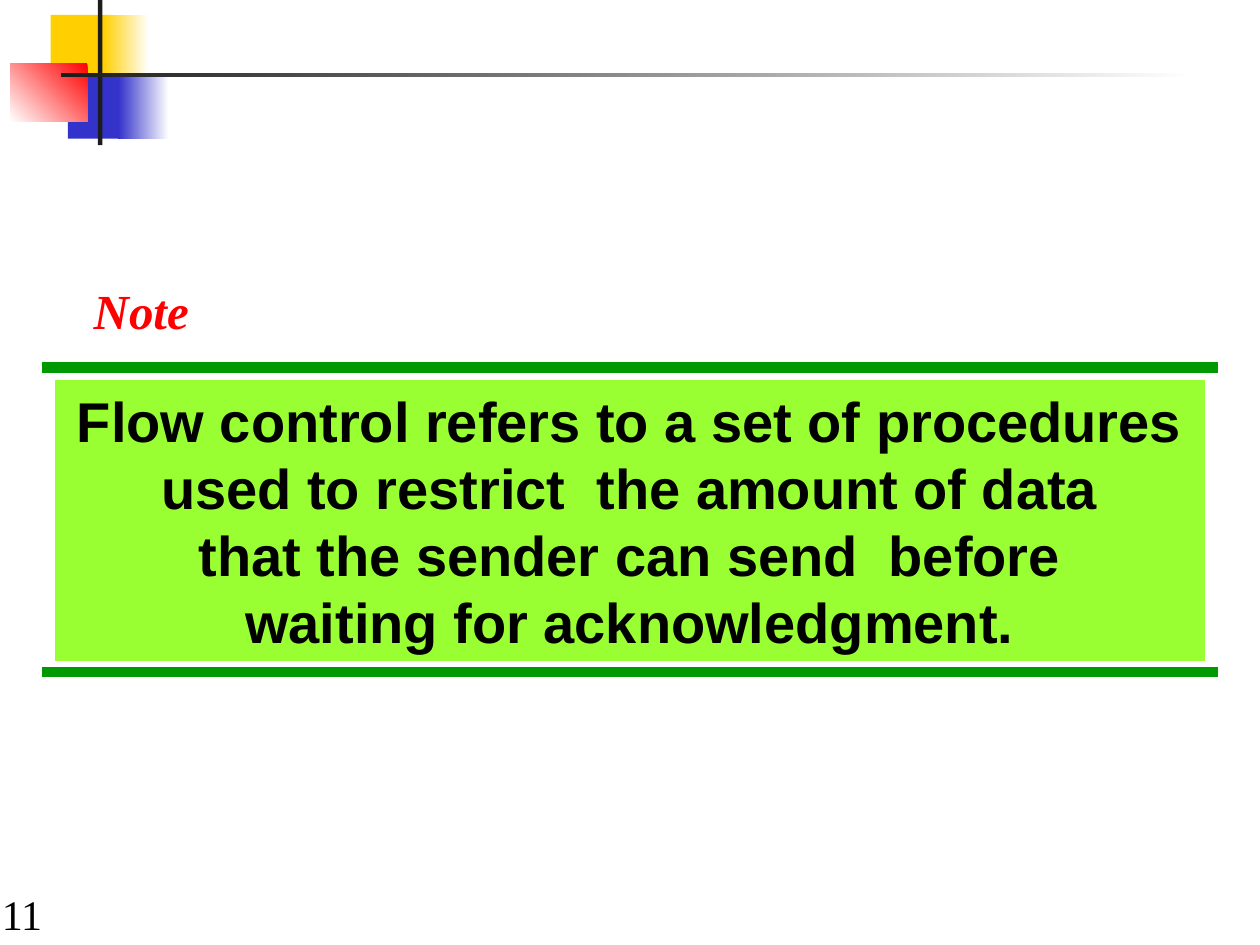
import pptx
import pptx.dml.color
import pptx.enum.shapes
import pptx.enum.text
import pptx.oxml
import pptx.util
from pptx.util import Pt

GREEN = "009900"
DARK = "1C1C1C"
YELLOW = "FFCF01"
BLUE = "3333CC"
RED = "FF0000"
WHITE = "FFFFFF"


def rgb(value):
    return pptx.dml.color.RGBColor.from_string(value)


def add_rect(slide, x, y, w, h, color):
    sp = slide.shapes.add_shape(
        pptx.enum.shapes.MSO_SHAPE.RECTANGLE, Pt(x), Pt(y), Pt(w), Pt(h))
    sp.shadow.inherit = False
    sp.line.fill.background()
    sp.fill.solid()
    sp.fill.fore_color.rgb = rgb(color)
    return sp


def add_gradient_rect(slide, x, y, w, h, start, end, clockwise=180):
    sp = add_rect(slide, x, y, w, h, start)
    sp.fill.gradient()
    sp.fill.gradient_angle = 360 - clockwise
    for stop, color in zip(sp.fill.gradient_stops, (start, end)):
        stop.color.rgb = rgb(color)


def add_rule(slide, x, y, length):
    line = slide.shapes.add_connector(
        pptx.enum.shapes.MSO_CONNECTOR.STRAIGHT,
        Pt(x), Pt(y), Pt(x + length), Pt(y))
    line.line.color.rgb = rgb(GREEN)
    line.line.width = Pt(6)
    line._element.spPr.append(pptx.oxml.parse_xml(
        '<a:effectLst xmlns:a='
        '"http://schemas.openxmlformats.org/drawingml/2006/main"/>'))


def write(sp, lines, font, size, color, align, anchor,
          bold=False, italic=False):
    tf = sp.text_frame
    tf.word_wrap = True
    tf.vertical_anchor = anchor
    for i, text in enumerate(lines):
        p = tf.add_paragraph() if i else tf.paragraphs[0]
        p.alignment = align
        r = p.add_run()
        r.text = text
        r.font.name = font
        r.font.size = Pt(size)
        r.font.bold = bold
        r.font.italic = italic
        r.font.color.rgb = rgb(color)


def add_text(slide, x, y, w, h, text, size, color, anchor, **style):
    sp = slide.shapes.add_textbox(Pt(x), Pt(y), Pt(w), Pt(h))
    write(sp, [text], "Times New Roman", size, color,
          pptx.enum.text.PP_ALIGN.LEFT, anchor, **style)


def add_ornament(slide):
    add_rect(slide, 29, 8.5, 34.5, 37.5, YELLOW)
    add_gradient_rect(slide, 59, 8.5, 26, 37.5, WHITE, YELLOW)
    add_rect(slide, 38.75, 41.75, 33.25, 37.5, BLUE)
    add_gradient_rect(slide, 67.5, 41.75, 29, 37.5, WHITE, BLUE)
    add_gradient_rect(slide, 5.75, 36, 44.25, 33.25, RED, WHITE, 135)
    add_rect(slide, 56, 0, 2.5, 83, DARK)
    add_gradient_rect(slide, 34.75, 41.75, 648, 2.5, WHITE, DARK)


def main():
    prs = pptx.Presentation()
    prs.slide_width, prs.slide_height = Pt(720), Pt(540)
    slide = prs.slides.add_slide(prs.slide_layouts[6])
    anchors = pptx.enum.text.MSO_ANCHOR

    add_text(slide, -6, 504, 150, 36, "11", 24, "000000", anchors.BOTTOM)
    add_ornament(slide)
    add_rule(slide, 24, 210, 672)
    add_rule(slide, 24, 384, 672)
    panel = add_rect(slide, 31.5, 217.25, 657, 160.5, "99FF33")
    write(panel, [
        "Flow control refers to a set of procedures "
        "used to restrict  the amount of data",
        "that the sender can send  before",
        "waiting for acknowledgment.",
    ], "Arial", 32, "000000", pptx.enum.text.PP_ALIGN.CENTER,
        anchors.TOP, bold=True)
    add_text(slide, 46.5, 156.5, 69, 41, "Note", 28, RED, anchors.TOP,
             bold=True, italic=True)

    prs.save("out.pptx")


if __name__ == "__main__":
    main()
